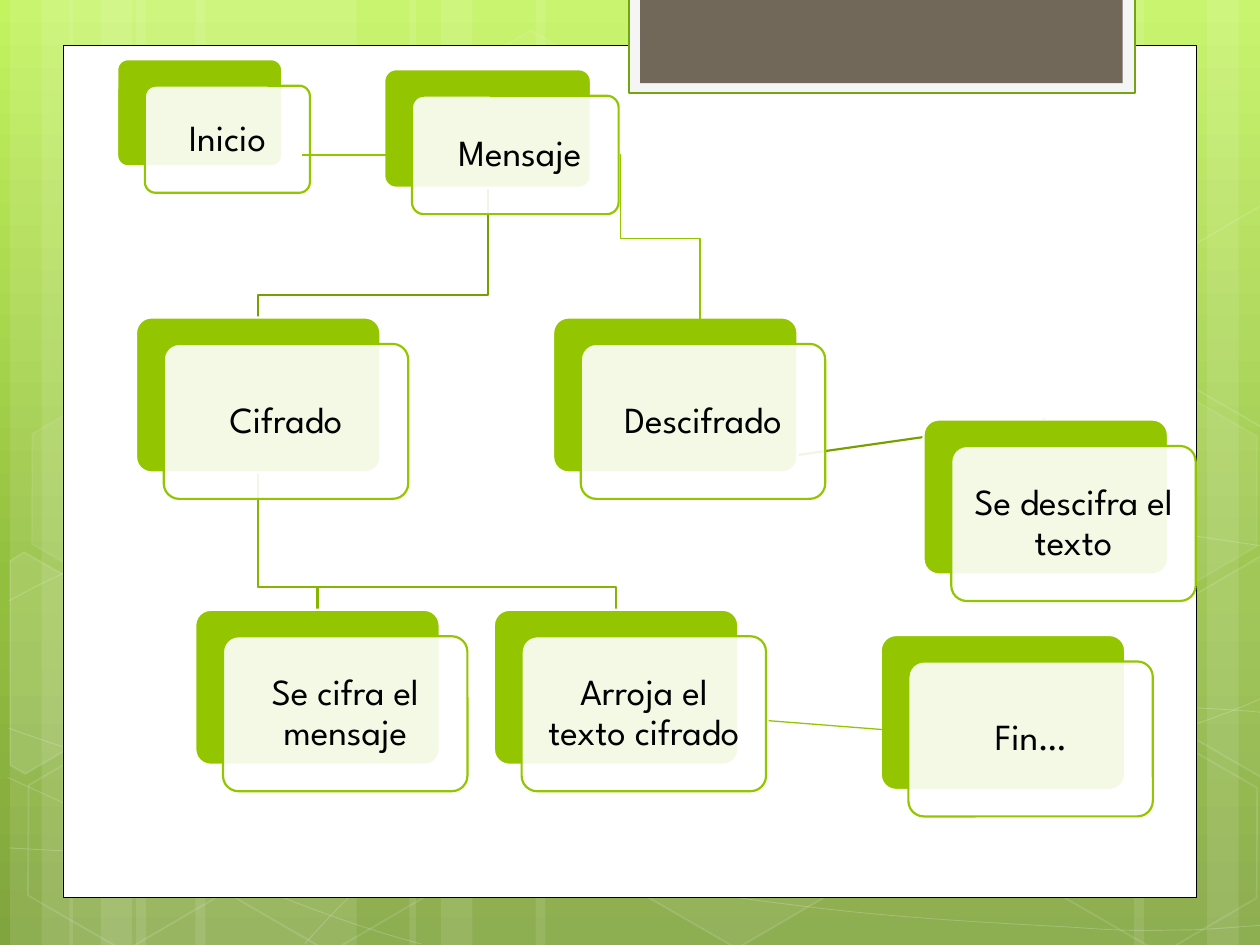
from copy import deepcopy
from math import cos, radians, sin

from lxml import etree
from pptx import Presentation
from pptx.dml.color import RGBColor
from pptx.enum.shapes import MSO_CONNECTOR, MSO_SHAPE
from pptx.enum.text import MSO_ANCHOR, PP_ALIGN
from pptx.oxml.ns import qn
from pptx.util import Inches, Pt

RECT, ROUNDED, HEXAGON = MSO_SHAPE.RECTANGLE, MSO_SHAPE.ROUNDED_RECTANGLE, MSO_SHAPE.HEXAGON
STRAIGHT, ELBOW = MSO_CONNECTOR.STRAIGHT, MSO_CONNECTOR.ELBOW
MIDDLE, CENTER = MSO_ANCHOR.MIDDLE, PP_ALIGN.CENTER

WHITE = RGBColor(0xFF, 0xFF, 0xFF)
BLACK = RGBColor(0, 0, 0)
GREEN = RGBColor(0x94, 0xC6, 0x00)
MID_GREEN = RGBColor(0x86, 0xB4, 0x00)
DARK_GREEN = RGBColor(0x77, 0x9F, 0x00)
TAB_GREEN = RGBColor(0x74, 0xA5, 0x10)
PALE = RGBColor(0xF5, 0xF5, 0xF5)
BROWN = RGBColor(0x71, 0x68, 0x5A)
BACKGROUND = [(0, RGBColor(0xC3, 0xF3, 0x5F)), (0.62, RGBColor(0x93, 0xBF, 0x3F)),
              (1, RGBColor(0x81, 0xA5, 0x3E))]
W, H = 10, 7.5

prs = Presentation()
prs.slide_width, prs.slide_height = Inches(W), Inches(H)
s = prs.slides.add_slide(prs.slide_layouts[6])


def paint(sp, fill=None, line=None, width=1, fill_alpha=100, line_alpha=100):
    """Set fill and line of a shape, with opacity in percent, and no shadow."""
    sp.shadow.inherit = False
    for part, color, alpha in ((sp.fill, fill, fill_alpha), (sp.line.fill, line, line_alpha)):
        if color is None:
            part.background()
            continue
        part.solid()
        part.fore_color.rgb = color
        if alpha < 100:
            owner = sp.line._ln if part is sp.line.fill else sp._element.spPr
            clr = owner.find(qn("a:solidFill")).find(qn("a:srgbClr"))
            etree.SubElement(clr, qn("a:alpha")).set("val", str(alpha * 1000))
    if line is not None:
        sp.line.width = Pt(width)
    return sp


def outline(points, close=False):
    """Build a freeform through points given in inches."""
    pts = [(Inches(x), Inches(y)) for x, y in points]
    builder = s.shapes.build_freeform(*pts[0], scale=1.0)
    builder.add_line_segments(pts[1:], close=close)
    return builder.convert_to_shape()


# Background gradient
fill = s.background.fill
fill.gradient()
fill.gradient_angle = 270
stop_list = s._element.xpath(".//a:gsLst")[0]
stop_list.append(deepcopy(stop_list[-1]))
for stop, (position, color) in zip(fill.gradient_stops, BACKGROUND):
    stop.position, stop.color.rgb = position, color

# Vertical light bands: left, width, turn
BANDS = [(1.08, 1.75, 0), (0.08, 0.5, 0), (0.33, 0.83, 0), (1.55, 1.75, 0), (0.55, 0.5, 0),
         (0.8, 0.83, 0), (7.33, 1.75, 180), (9.58, 0.5, 180), (9, 0.83, 180),
         (4.25, 3.08, 0), (3.25, 0.5, 0), (3.5, 0.83, 0)]
for x, w, turn in BANDS:
    band = s.shapes.add_shape(RECT, Inches(x), 0, Inches(w), Inches(H))
    band.rotation = turn
    paint(band, WHITE, fill_alpha=10)

# Thin curves: a start, then two controls and an end for each Bezier piece
CURVES = [
    [(0.07, 6.73), (0.61, 6.76), (1.15, 6.79), (1.9, 6.78), (2.65, 6.77), (3.58, 6.75),
     (4.58, 6.65), (5.58, 6.55), (7, 6.36), (7.92, 6.17), (8.83, 5.98), (9.77, 5.68),
     (10.07, 5.51)],
    [(0.07, 4.77), (0.36, 4.61), (0.65, 4.46), (1.21, 4.31), (1.78, 4.16), (2.59, 3.94),
     (3.47, 3.87), (4.36, 3.8), (5.44, 3.79), (6.54, 3.87), (7.64, 3.95), (9.47, 4.26),
     (10.07, 4.34)],
    [(0.06, 6.17), (1.27, 6.72), (2.47, 7.27), (3.34, 7.49)],
    [(0.07, 5.78), (0.38, 5.89), (0.7, 6), (1.28, 6.16), (1.86, 6.31), (2.73, 6.56),
     (3.57, 6.73), (4.4, 6.9), (5.45, 7.08), (6.28, 7.18), (7.11, 7.29), (8, 7.33),
     (8.53, 7.36), (9.05, 7.4), (9.19, 7.38), (9.45, 7.38), (9.71, 7.37), (9.89, 7.35),
     (10.07, 7.34)],
    [(2.42, 7.49), (2.6, 7.29), (2.78, 7.09), (3.02, 6.91), (3.26, 6.73), (3.6, 6.53),
     (3.88, 6.39), (4.16, 6.25), (4.33, 6.19), (4.7, 6.09), (5.06, 5.99), (5.73, 5.85),
     (6.08, 5.78), (6.44, 5.71), (6.49, 5.71), (6.8, 5.69), (7.11, 5.66), (7.6, 5.63),
     (7.94, 5.62), (8.29, 5.61), (8.86, 5.62), (8.86, 5.62), (9.08, 5.62), (9.31, 5.62),
     (9.53, 5.62), (9.71, 5.63), (9.88, 5.64), (9.97, 5.65), (10.06, 5.66), (10.03, 5.65),
     (10.06, 5.66)],
]
for points in CURVES:
    curve = paint(outline(points), None, WHITE, 0.5, line_alpha=20)
    track = curve._element.xpath(".//a:pathLst")[0][0]
    segments = track.findall(qn("a:lnTo"))
    for i in range(0, len(segments), 3):
        bezier = etree.SubElement(track, qn("a:cubicBezTo"))
        for segment in segments[i:i + 3]:
            bezier.append(segment[0])
            track.remove(segment)

# Hexagons: left, top, fill opacity (0 is no fill), line opacity
TILT = 30
HEXAGONS = [(3.34, 0.36, 4, 8), (4.97, 5.89, 6, 12), (0.11, 5.91, 0, 12), (0.14, 3.12, 7, 8),
            (1.74, 5.92, 0, 12), (7.53, 4.53, 10, 12), (8.34, 5.93, 0, 12), (8.34, 3.14, 7, 8)]
for x, y, alpha, line_alpha in HEXAGONS:
    hexagon = s.shapes.add_shape(HEXAGON, Inches(x), Inches(y), Inches(1.75), Inches(1.52))
    hexagon.adjustments[0] = 0.285
    hexagon.rotation = TILT
    paint(hexagon, WHITE if alpha else None, WHITE, 1, alpha, line_alpha)

# Hexagons cut by the slide edge, laid out upright around a centre and then tilted
CUT_LEFT = [(0.08, 4.45), (0.19, 4.38), (0.96, 4.82), (0.95, 5.7), (0.2, 6.14), (0.08, 6.07)]
CUT_RIGHT = [(9.26, 4.85), (10.01, 4.41), (10.09, 4.46), (10.09, 6.13), (10.02, 6.17),
             (9.26, 5.73)]
CUT_UPPER = [(x, y - 2.78) for x, y in CUT_RIGHT]
co, si = cos(radians(TILT)), sin(radians(TILT))
for points, (cx, cy), alpha in ((CUT_LEFT, (0.36, 5.35), 10), (CUT_RIGHT, (9.85, 5.2), 4),
                                (CUT_UPPER, (9.85, 2.42), 0)):
    upright = [(cx + (x - cx) * co + (y - cy) * si, cy - (x - cx) * si + (y - cy) * co)
               for x, y in points]
    cut = paint(outline(upright, True), WHITE if alpha else None, WHITE, 1, alpha, 12)
    cut.rotation = TILT

# White panel and the tab at the top
PANELS = [((0.5, 0.36, 9, 6.76), WHITE, BLACK, 0.5),
          ((4.99, -0.02, 4.02, 0.76), PALE, TAB_GREEN, 1.25),
          ((5.08, -0.02, 3.83, 0.68), BROWN, None, 0)]
for box, color, line, width in PANELS:
    paint(s.shapes.add_shape(RECT, *map(Inches, box)), color, line, width)

# Branches behind the cards
BRANCHES = [([(5.36, 3.75), (8.3, 3.33)], DARK_GREEN),
            ([(2.05, 3.75), (2.05, 4.66), (4.89, 4.66), (4.89, 4.84)], MID_GREEN),
            ([(2.05, 3.75), (2.05, 4.66), (2.52, 4.66), (2.52, 4.84)], MID_GREEN),
            ([(3.87, 1.49), (3.87, 2.34), (2.05, 2.34), (2.05, 2.52)], DARK_GREEN)]
for points, color in BRANCHES:
    paint(outline(points), None, color, 1.25)

# Cards: a green plate and, shifted over it, a translucent one with the text
SIZE = (1.94, 1.23)
SHIFT_X, SHIFT_Y, INSET = 0.22, 0.21, 0.12
CARDS = [("Inicio", 0.93, 0.47, (1.31, 0.85)), (" Mensaje", 3.05, 0.55, (1.64, 0.94)),
         ("Cifrado", 1.08, 2.52, SIZE), ("Se cifra el mensaje", 1.55, 4.84, SIZE),
         ("Arroja el texto cifrado", 3.92, 4.84, SIZE), ("Fin…", 6.99, 5.04, SIZE),
         ("Descifrado", 4.39, 2.52, SIZE), ("Se descifra el texto", 7.33, 3.33, SIZE)]
FRAME = {"word_wrap": True, "vertical_anchor": MIDDLE, "margin_left": Inches(INSET),
         "margin_right": Inches(INSET), "margin_top": Inches(INSET),
         "margin_bottom": Inches(INSET)}
PARAGRAPH = {"alignment": CENTER, "line_spacing": 0.9, "space_after": Pt(7)}
FONT = {"name": "League Spartan", "size": Pt(21)}
for text, x, y, (w, h) in CARDS:
    for dx, dy, color, line, alpha in ((0, 0, GREEN, WHITE, 100),
                                       (SHIFT_X, SHIFT_Y, WHITE, GREEN, 90)):
        sp = s.shapes.add_shape(ROUNDED, *map(Inches, (x + dx, y + dy, w, h)))
        sp.adjustments[0] = 0.1
        paint(sp, color, line, 1.25, alpha)
    tf = sp.text_frame
    p = tf.paragraphs[0]
    r = p.add_run()
    r.text = text
    for target, values in ((tf, FRAME), (p, PARAGRAPH), (r.font, FONT)):
        for name, value in values.items():
            setattr(target, name, value)
    r.font.color.rgb = BLACK

# Connectors; the elbow is turned to leave vertically
LINKS = [(ELBOW, (5.91, 1.58, 4.57, 2.21), 270), (STRAIGHT, (6.1, 5.72, 7.13, 5.8), 0),
         (STRAIGHT, (2.4, 1.23, 3.19, 1.23), 0)]
for kind, ends, turn in LINKS:
    link = s.shapes.add_connector(kind, *map(Inches, ends))
    link.line.color.rgb = GREEN
    link.line.width = Pt(0.75)
    etree.SubElement(link._element.spPr, qn("a:effectLst"))
    if turn:
        link._element.spPr.find(qn("a:xfrm")).set("rot", str(turn * 60000))

prs.save("out.pptx")
